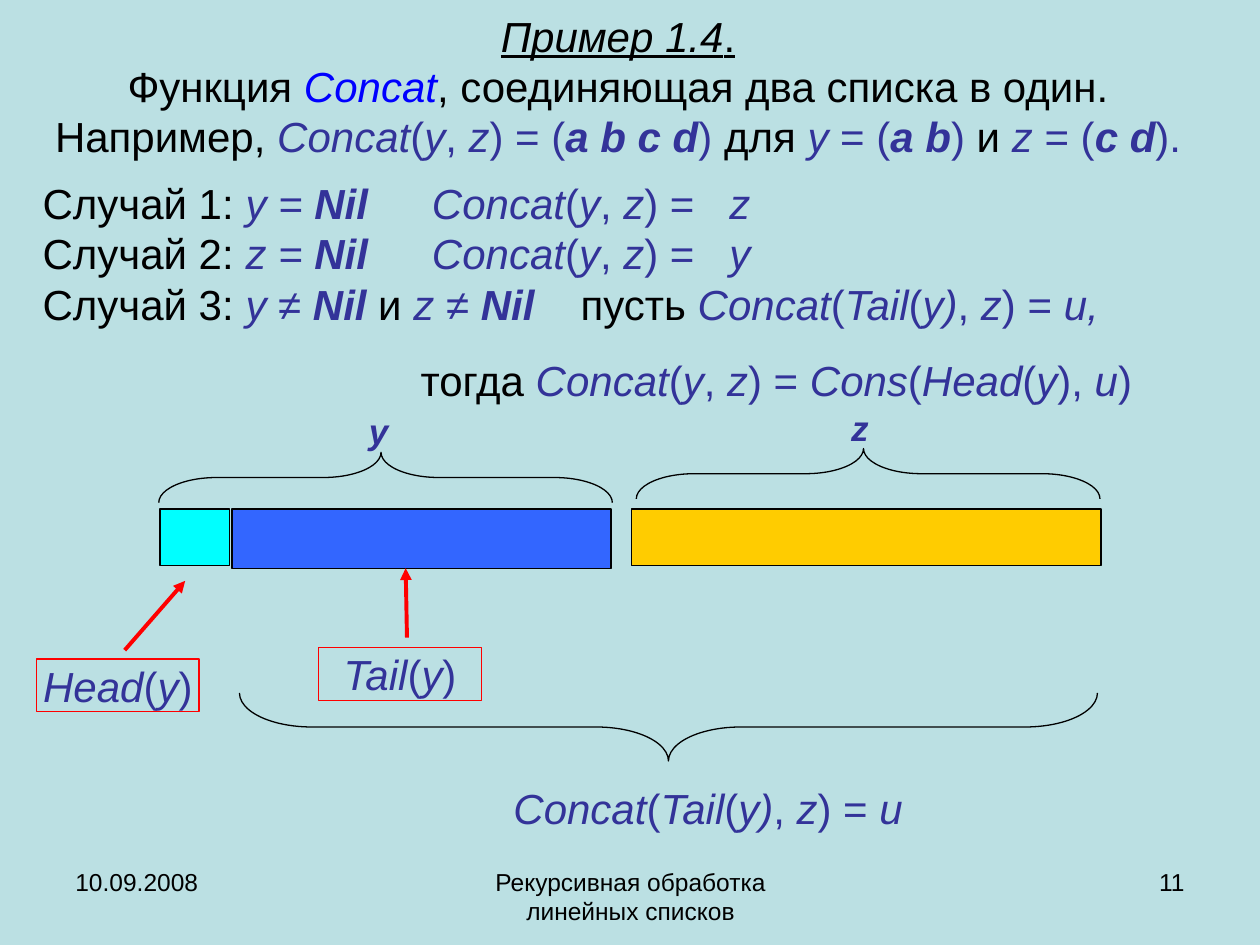
from dataclasses import dataclass
from lxml.etree import SubElement
from pptx import Presentation
from pptx.dml.color import RGBColor
from pptx.enum.shapes import MSO_CONNECTOR, MSO_SHAPE
from pptx.enum.text import MSO_ANCHOR, PP_ALIGN
from pptx.oxml.ns import qn
from pptx.util import Emu, Inches, Pt

# The slide is a grid of 100 columns by 75 rows
COLS, ROWS = 100, 75
CELL = Inches(10) // COLS

HUES = {"back": "BBE0E3", "black": "000000", "navy": "333399", "link": "0000FF",
        "blue": "3366FF", "cyan": "00FFFF", "gold": "FFCC00", "red": "FF0000"}

# Run codes: hue, bold, italic, underline
CODES = {"k": ("black", False, False, False), "n": ("navy", False, False, False),
         "i": ("navy", False, True, False), "b": ("navy", True, True, False),
         "c": ("link", False, True, False), "u": ("black", False, True, True),
         "v": ("black", False, False, True)}

LEFT, MID, RIGHT = PP_ALIGN.LEFT, PP_ALIGN.CENTER, PP_ALIGN.RIGHT


@dataclass
class Area:
    x: float
    y: float
    w: float
    h: float


@dataclass
class Para:
    marks: str  # runs split by "|", each led by its code
    stops: tuple = ()
    inset: float = 0
    gap: float = 0


@dataclass
class Label:
    area: Area
    paras: list
    size: int = 24
    align: PP_ALIGN = MID
    anchor: MSO_ANCHOR = MSO_ANCHOR.TOP


@dataclass
class Bar:
    area: Area
    hue: str


@dataclass
class Brace:
    area: Area  # as seen, after the turn
    kind: MSO_SHAPE
    bend: float
    tip: float


@dataclass
class Arrow:
    start: tuple
    end: tuple


def cell(num: float) -> Emu:
    return Emu(round(num * CELL))


def spot(area: Area) -> tuple:
    return tuple(cell(n) for n in (area.x, area.y, area.w, area.h))


def rgb(hue: str) -> RGBColor:
    return RGBColor.from_string(HUES[hue])


def edge(shape, hue: str, width: float = 0.75) -> None:
    shape.line.color.rgb = rgb(hue)
    shape.line.width = Pt(width)


def write(frame, label: Label, pad: tuple = (1, 0.5)) -> None:
    frame.word_wrap = True
    frame.vertical_anchor = label.anchor
    frame.margin_left = frame.margin_right = cell(pad[0])
    frame.margin_top = frame.margin_bottom = cell(pad[1])
    for num, item in enumerate(label.paras):
        para = frame.add_paragraph() if num else frame.paragraphs[0]
        para.alignment = label.align
        if item.gap:
            para.space_before = Pt(item.gap)
        props = para._p.get_or_add_pPr()
        if item.inset:
            props.set("marL", str(cell(item.inset)))
            props.set("indent", "0")
        if item.stops:
            tabs = SubElement(props, qn("a:tabLst"))
            for stop in item.stops:
                SubElement(tabs, qn("a:tab"), pos=str(cell(stop)), algn="l")
        for row, line in enumerate(item.marks.split("\n")):
            if row:
                para.add_line_break()
            for mark in line.split("|"):
                run = para.add_run()
                run.text = mark[1:]
                font = run.font
                hue, font.bold, font.italic, font.underline = CODES[mark[0]]
                font.name, font.size = "Arial", Pt(label.size)
                font.color.rgb = rgb(hue)


def draw_label(slide, label: Label) -> None:
    write(slide.shapes.add_textbox(*spot(label.area)).text_frame, label)


def draw_frame(slide, label: Label) -> None:
    shape = slide.shapes.add_shape(MSO_SHAPE.RECTANGLE, *spot(label.area))
    shape.shadow.inherit = False
    shape.fill.background()
    edge(shape, "red")
    write(shape.text_frame, label, (0.2, 0.1))


def draw_bar(slide, bar: Bar) -> None:
    shape = slide.shapes.add_shape(MSO_SHAPE.RECTANGLE, *spot(bar.area))
    shape.shadow.inherit = False
    shape.fill.solid()
    shape.fill.fore_color.rgb = rgb(bar.hue)
    edge(shape, "black")


def draw_brace(slide, brace: Brace) -> None:
    seen = brace.area
    shift = (seen.w - seen.h) / 2
    area = Area(seen.x + shift, seen.y - shift, seen.h, seen.w)
    shape = slide.shapes.add_shape(brace.kind, *spot(area))
    shape.rotation = 90
    shape.shadow.inherit = False
    shape.fill.background()
    shape.adjustments[0], shape.adjustments[1] = brace.bend, brace.tip
    edge(shape, "black")


def draw_arrow(slide, arrow: Arrow) -> None:
    ends = [cell(n) for n in arrow.start + arrow.end]
    line = slide.shapes.add_connector(MSO_CONNECTOR.STRAIGHT, *ends)
    edge(line, "red", 2.25)
    SubElement(line.line._get_or_add_ln(), qn("a:tailEnd"), type="triangle")
    SubElement(line._element.spPr, qn("a:effectLst"))


# Formulas used more than once
PAIR = "iConcat|n(|iy|n, |iz|n) = "
REST = "iConcat|n(|iTail|n(|iy)|n, |iz|n) = |iu"

TITLE = ("uПример 1.4|v.\n"
         "kФункция |cConcat|k, соединяющая два списка в один.\n"
         f"kНапример, |{PAIR}(|ba b c d|n)|k для |iy |n= (|ba b|n) |kи |iz |n= (|bc d|n).")
CASES = (f"kСлучай 1: |iy = |bNil\t|{PAIR}\t|iz\n"
         f"kСлучай 2: |iz = |bNil\t|{PAIR}\t|iy\n"
         f"kСлучай 3: |iy |n≠ |bNil |kи |iz |n≠ |bNil\t|kпусть |{REST},")
THEN = f"kтогда |{PAIR}|iCons|n(|iHead|n(|iy|n), |iu|n)"
STOPS = tuple(30.9 + 11.8 * n for n in range(3))

LABELS = [
    Label(Area(0, 0, 98.1, 13.6), [Para(TITLE)], anchor=MSO_ANCHOR.MIDDLE),
    Label(Area(2.4, 13.6, 95.4, 19.1),
          [Para(CASES, STOPS), Para(THEN, inset=30, gap=15)], align=LEFT),
    Label(Area(27.9, 32, 4.3, 4.4), [Para("by")], 20),
    Label(Area(66.1, 31.8, 4.3, 4.4), [Para("bz")], 20),
    Label(Area(27.6, 61.6, 57.2, 5), [Para(REST)]),
    # Footer
    Label(Area(5, 68.3, 23.3, 5.2), [Para("k10.09.2008")], 14, LEFT),
    Label(Area(34.2, 68.3, 31.7, 5.2),
          [Para("kРекурсивная обработка линейных списков")], 14),
    Label(Area(71.7, 68.3, 23.3, 5.2), [Para("k11")], 14, RIGHT),
]
FRAMES = [Label(Area(x, y, 12.9, 4.2), [Para(f"i{name}|n(|iy|n)")])
          for x, y, name in ((2.9, 52.3, "Head"), (25.3, 51.4, "Tail"))]
BARS = [Bar(Area(18.4, 40.4, 30.1, 4.7), "blue"),
        Bar(Area(12.7, 40.4, 5.5, 4.5), "cyan"),
        Bar(Area(50.1, 40.4, 37.3, 4.5), "gold")]
BRACES = [Brace(Area(12.6, 35.9, 36, 4), MSO_SHAPE.LEFT_BRACE, 1.15, 0.51),
          Brace(Area(50.5, 35.6, 36.8, 4), MSO_SHAPE.LEFT_BRACE, 1.15, 0.51),
          Brace(Area(19, 55, 68.1, 5.4), MSO_SHAPE.RIGHT_BRACE, 1.06, 0.5)]
ARROWS = [Arrow((9.9, 51.6), (14.7, 46.1)), Arrow((32.3, 50.6), (32.2, 45.1))]


def main() -> None:
    deck = Presentation()
    deck.slide_width, deck.slide_height = cell(COLS), cell(ROWS)
    slide = deck.slides.add_slide(deck.slide_layouts[6])
    slide.background.fill.solid()
    slide.background.fill.fore_color.rgb = rgb("back")
    for draw, parts in ((draw_bar, BARS), (draw_brace, BRACES), (draw_label, LABELS),
                        (draw_frame, FRAMES), (draw_arrow, ARROWS)):
        for part in parts:
            draw(slide, part)
    deck.save("out.pptx")


if __name__ == "__main__":
    main()
